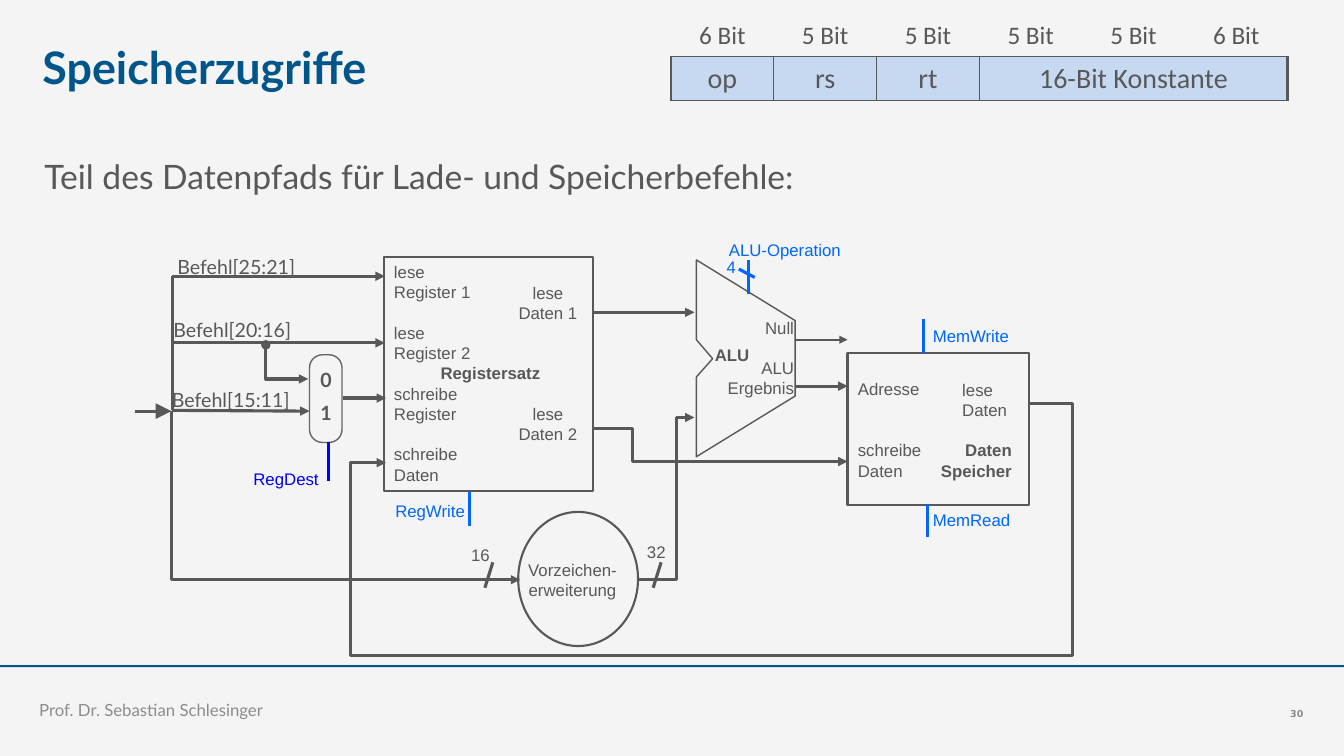
from dataclasses import dataclass

from lxml import etree
from pptx import Presentation
from pptx.dml.color import RGBColor
from pptx.enum.shapes import MSO_CONNECTOR, MSO_SHAPE
from pptx.enum.text import MSO_ANCHOR, PP_ALIGN
from pptx.oxml.ns import qn
from pptx.util import Cm, Pt

GREY, NAVY, BLUE, PURE_BLUE, PALE, MUTED = "58585A", "00568A", "0066FF", "0000FF", "C6D9F1", "8C8C8C"
LEFT, CENTER, RIGHT = PP_ALIGN.LEFT, PP_ALIGN.CENTER, PP_ALIGN.RIGHT
TOP, MIDDLE, BOTTOM = MSO_ANCHOR.TOP, MSO_ANCHOR.MIDDLE, MSO_ANCHOR.BOTTOM
LINE_HEIGHT = 0.51
LABEL_WIDTH = 3.4
REGISTER_TOP = 6.6


@dataclass
class Label:
    text: str
    x: float
    y: float
    align: PP_ALIGN = CENTER
    color: str = GREY
    bold: bool = False
    font: str = "Arial"
    size: float = 12


@dataclass
class Wire:
    points: list
    arrow: str = ""
    color: str = GREY
    width: float = 2.25


@dataclass
class Block:
    kind: MSO_SHAPE
    box: tuple
    line: str | None = GREY
    width: float = 1.5
    fill: str | None = None


def rgb(value: str) -> RGBColor:
    return RGBColor.from_string(value)


def register_label(text: str, x: float, row: int, align: PP_ALIGN, bold: bool = False) -> Label:
    lines = text.count("\n") + 1
    return Label(text, x, REGISTER_TOP + (row + lines / 2) * LINE_HEIGHT, align, bold=bold)


BLOCKS = [
    Block(MSO_SHAPE.RECTANGLE, (0, 16.76, 33.87, 0.05), None, 0, NAVY),
    Block(MSO_SHAPE.ROUNDED_RECTANGLE, (7.8, 8.94, 0.82, 2.21), "666666", 1),
    Block(MSO_SHAPE.RECTANGLE, (9.68, 6.48, 5.26, 5.89)),
    Block(MSO_SHAPE.OVAL, (13.06, 12.9, 3.02, 3.38)),
    Block(MSO_SHAPE.RECTANGLE, (21.36, 8.89, 4.57, 3.84)),
    Block(MSO_SHAPE.OVAL, (6.6, 8.59, 0.2, 0.2), GREY, 1, GREY),
]
ALU = [(17.55, 6.55), (17.55, 8.56), (17.96, 9.04), (17.55, 9.5),
       (17.55, 11.51), (20.04, 9.98), (20.04, 8.08), (17.55, 6.55)]
WIRES = [
    Wire(ALU, width=1),
    Wire([(6.7, 8.79), (6.7, 9.55), (7.77, 9.55)], "med"),
    Wire([(8.64, 10.03), (9.73, 10.03)], "med"),
    Wire([(14.94, 7.87), (17.5, 7.87)], "med"),
    Wire([(20.04, 8.56), (21.36, 8.56)], "med", width=1.5),
    Wire([(17.04, 10.52), (17.5, 10.52)], "med"),
    Wire([(12.42, 14.17), (12.22, 14.81)]),
    Wire([(16.66, 14.17), (16.46, 14.81)]),
    Wire([(20.04, 9.73), (21.36, 9.73)], "med"),
    Wire([(20.09, 11.63), (21.36, 11.63)], "med"),
    Wire([(20.09, 11.63), (15.93, 11.63), (15.93, 10.8), (14.94, 10.8)]),
    Wire([(17.04, 10.52), (17.04, 14.61), (16.05, 14.61)]),
    Wire([(4.32, 10.36), (4.32, 14.61), (13.11, 14.61)], "med"),
    Wire([(25.93, 10.16), (27.03, 10.16), (27.03, 16.51),
          (8.84, 16.51), (8.84, 11.66), (9.73, 11.66)], "med"),
    Wire([(4.34, 6.96), (9.7, 6.96)], "med"),
    Wire([(4.34, 8.64), (9.7, 8.64)], "med"),
    Wire([(4.34, 10.34), (7.8, 10.36)], "med"),
    Wire([(4.34, 6.96), (4.34, 10.34)]),
    Wire([(3.4, 10.36), (4.32, 10.36)], "lg"),
    Wire([(11.84, 12.4), (11.84, 13.26)], color=BLUE),
    Wire([(18.87, 6.55), (18.87, 7.42)], color=BLUE),
    Wire([(18.62, 6.78), (19.02, 6.99)], color=BLUE),
    Wire([(23.27, 8.89), (23.27, 8.05)], color=BLUE),
    Wire([(23.37, 13.54), (23.37, 12.7)], color=BLUE),
    Wire([(8.28, 11.15), (8.28, 12.12)], color=PURE_BLUE),
]
LABELS = [
    register_label("lese\nRegister 1", 9.93, 0, LEFT),
    register_label("lese\nRegister 2", 9.93, 3, LEFT),
    register_label("schreibe\nRegister", 9.93, 6, LEFT),
    register_label("schreibe\nDaten", 9.93, 9, LEFT),
    register_label("lese\nDaten 1", 13.81, 1, CENTER),
    register_label("lese\nDaten 2", 13.81, 7, CENTER),
    register_label("Registersatz", 12.36, 5, CENTER, True),
    Label("Adresse", 21.62, 9.81, LEFT),
    Label("lese\nDaten", 24.25, 10.07, LEFT),
    Label("schreibe\nDaten", 21.62, 11.6, LEFT),
    Label("Daten\nSpeicher", 25.5, 11.6, RIGHT, bold=True),
    Label("ALU", 18.45, 8.95, bold=True),
    Label("Null", 20.01, 8.27, RIGHT),
    Label("ALU\nErgebnis", 20.01, 9.53, RIGHT),
    Label("Vorzeichen-\nerweiterung", 14.43, 14.62),
    Label("16", 12.11, 13.99),
    Label("32", 16.54, 13.91),
    Label("ALU-Operation", 19.78, 6.3, color=BLUE),
    Label("4", 18.43, 6.73, color=BLUE),
    Label("RegWrite", 10.84, 12.88, color=BLUE),
    Label("MemWrite", 23.51, 8.45, LEFT, BLUE),
    Label("MemRead", 23.51, 13.09, LEFT, BLUE),
    Label("RegDest", 7.21, 12.06, color=PURE_BLUE),
    Label("Befehl[25:21]", 4.47, 6.73, LEFT, font="Lato", size=14),
    Label("Befehl[20:16]", 4.37, 8.31, LEFT, font="Lato", size=14),
    Label("Befehl[15:11]", 4.33, 10.08, LEFT, font="Lato", size=14),
    Label("0", 8.22, 9.56, bold=True, font="Lato", size=14),
    Label("1", 8.22, 10.41, bold=True, font="Lato", size=14),
]


def format_text(tf, text: str, font: str, size: float, color: str,
                bold: bool = False, align: PP_ALIGN = LEFT) -> None:
    tf.text = text
    for p in tf.paragraphs:
        p.alignment = align
        p.font.name, p.font.size, p.font.bold = font, Pt(size), bold
        p.font.color.rgb = rgb(color)


def place_text(sp, box: tuple, anchor: MSO_ANCHOR):
    sp.left, sp.top, sp.width, sp.height = map(Cm, box)
    tf = sp.text_frame
    tf.word_wrap, tf.vertical_anchor = True, anchor
    tf.margin_left = tf.margin_right = tf.margin_top = tf.margin_bottom = 0
    return tf


def add_text(slide, box: tuple, anchor: MSO_ANCHOR):
    return place_text(slide.shapes.add_textbox(0, 0, 0, 0), box, anchor)


def add_label(slide, label: Label) -> None:
    height = LINE_HEIGHT * (label.text.count("\n") + 1)
    shift = {LEFT: 0, CENTER: LABEL_WIDTH / 2, RIGHT: LABEL_WIDTH}[label.align]
    tf = add_text(slide, (label.x - shift, label.y - height / 2, LABEL_WIDTH, height), MIDDLE)
    format_text(tf, label.text, label.font, label.size, label.color, label.bold, label.align)


def add_block(slide, block: Block) -> None:
    sp = slide.shapes.add_shape(block.kind, *map(Cm, block.box))
    sp.shadow.inherit = False
    if block.kind == MSO_SHAPE.ROUNDED_RECTANGLE:
        sp.adjustments[0] = 0.4
    if block.fill:
        sp.fill.solid()
        sp.fill.fore_color.rgb = rgb(block.fill)
    else:
        sp.fill.background()
    if block.line:
        sp.line.color.rgb, sp.line.width = rgb(block.line), Pt(block.width)
    else:
        sp.line.fill.background()


def add_wire(slide, wire: Wire) -> None:
    points = [(Cm(x), Cm(y)) for x, y in wire.points]
    if len(points) == 2:
        sp = slide.shapes.add_connector(MSO_CONNECTOR.STRAIGHT, *points[0], *points[1])
    else:
        builder = slide.shapes.build_freeform(*points[0])
        builder.add_line_segments(points[1:], close=points[0] == points[-1])
        sp = builder.convert_to_shape()
        sp.fill.background()
    sp.line.color.rgb, sp.line.width = rgb(wire.color), Pt(wire.width)
    if wire.arrow:
        etree.SubElement(sp.line._get_or_add_ln(), qn("a:tailEnd"),
                         type="triangle", w=wire.arrow, len=wire.arrow)
    etree.SubElement(sp._element.spPr, qn("a:effectLst"))


def set_borders(cell, widths: dict) -> None:
    tc_pr = cell._tc.get_or_add_tcPr()
    for index, side in enumerate("LRTB"):
        ln = etree.Element(qn(f"a:ln{side}"), w=str(Pt(widths.get(side, 0))))
        if side in widths:
            fill = etree.SubElement(ln, qn("a:solidFill"))
            etree.SubElement(fill, qn("a:srgbClr"), val=GREY)
        else:
            etree.SubElement(ln, qn("a:noFill"))
        tc_pr.insert(index, ln)


def add_format_table(slide) -> None:
    rows = [["", "6 Bit", "5 Bit", "5 Bit", "5 Bit", "5 Bit", "6 Bit"],
            ["", "op", "rs", "rt", "16-Bit Konstante", "", ""]]
    table = slide.shapes.add_table(2, 7, Cm(13.89), Cm(0.15), Cm(18.56), Cm(2.39)).table
    table.first_row = table.horz_banding = False
    for i, col in enumerate(table.columns):
        col.width = Cm(2.59 if i else 3.02)
    table.rows[0].height, table.rows[1].height = Cm(1.27), Cm(1.12)
    for r, texts in enumerate(rows):
        for c, text in enumerate(texts):
            cell = table.cell(r, c)
            cell.fill.background()
            if text:
                format_text(cell.text_frame, text, "Calibri", 20 if r else 18, GREY, align=CENTER)
            if r and c:
                cell.fill.solid()
                cell.fill.fore_color.rgb = rgb(PALE)
                set_borders(cell, {"L": 1, "R": 2.25 if c > 3 else 1, "T": 1, "B": 1})
            else:
                cell.vertical_anchor = BOTTOM
                set_borders(cell, {"B": 1} if c else {"R": 1} if r else {})
    table.cell(1, 4).merge(table.cell(1, 6))


def add_bullet(slide) -> None:
    tf = add_text(slide, (1.12, 3.94, 31.88, 12.34), TOP)
    p = tf.paragraphs[0]
    p_pr = p._p.get_or_add_pPr()
    p_pr.set("marL", str(Cm(0.56)))
    p_pr.set("indent", str(-Cm(0.56)))
    p.line_spacing = 1.08
    color = etree.SubElement(p_pr, qn("a:buClr"))
    etree.SubElement(color, qn("a:srgbClr"), val=NAVY)
    etree.SubElement(p_pr, qn("a:buChar"), char="▪")
    format_text(tf, "Teil des Datenpfads für Lade- und Speicherbefehle:", "Lato", 24, GREY)


def main() -> None:
    prs = Presentation()
    prs.slide_width, prs.slide_height = Cm(33.87), Cm(19.05)
    slide = prs.slides.add_slide(prs.slide_layouts[5])
    slide.background.fill.solid()
    slide.background.fill.fore_color.rgb = rgb("F4F4F4")
    title = place_text(slide.shapes.title, (1.07, 0.89, 22.12, 1.6), MIDDLE)
    format_text(title, "Speicherzugriffe", "Lato", 32, NAVY, True)
    add_bullet(slide)
    footer = add_text(slide, (0.99, 17.15, 23.37, 0.99), BOTTOM)
    format_text(footer, "Prof. Dr. Sebastian Schlesinger", "Lato", 12, MUTED)
    number = add_text(slide, (30.56, 17.15, 2.29, 0.99), BOTTOM)
    format_text(number, "30", "DejaVu Sans", 6.8, MUTED, True, RIGHT)
    add_format_table(slide)
    for block in BLOCKS:
        add_block(slide, block)
    for wire in WIRES:
        add_wire(slide, wire)
    for label in LABELS:
        add_label(slide, label)
    prs.save("out.pptx")


if __name__ == "__main__":
    main()
